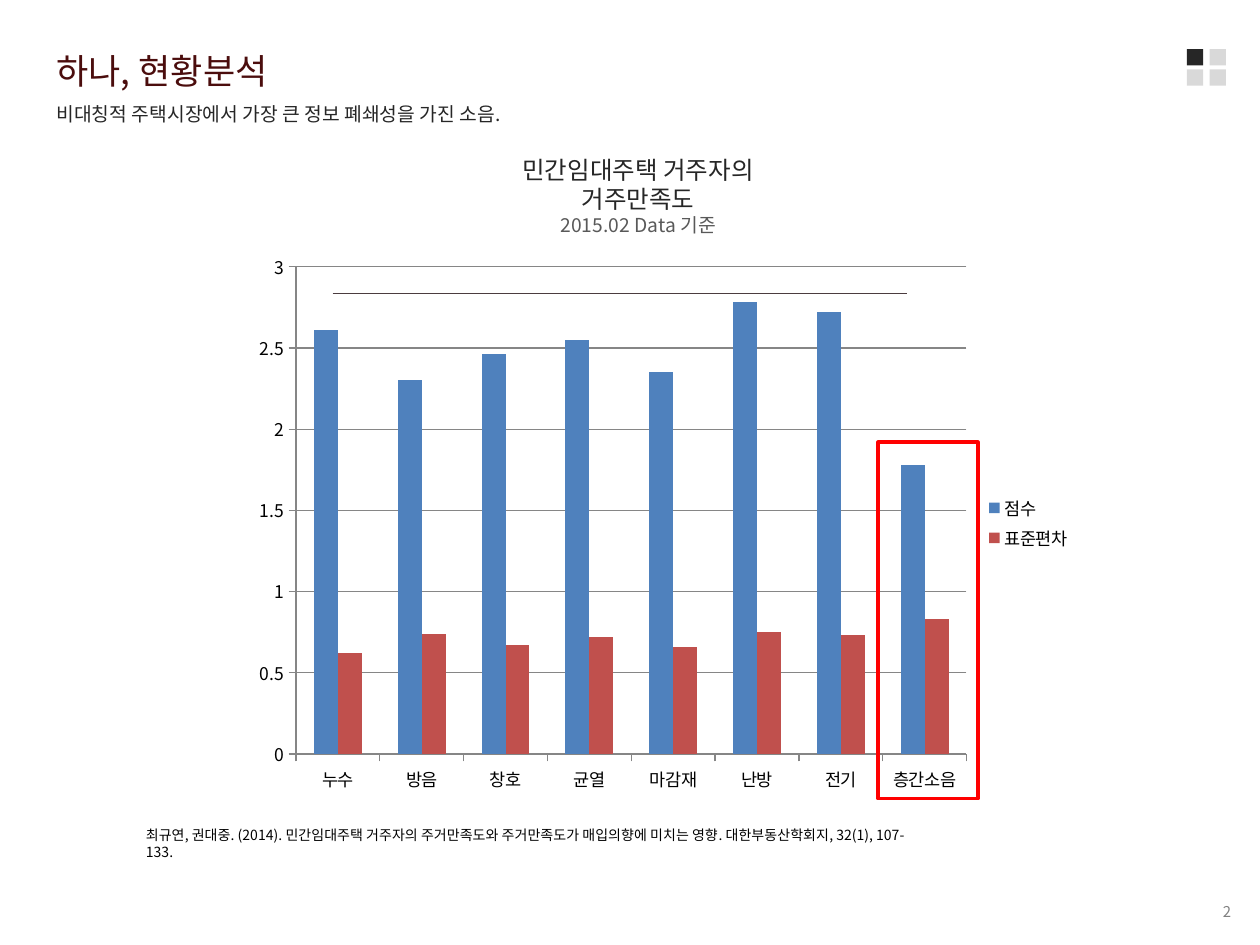
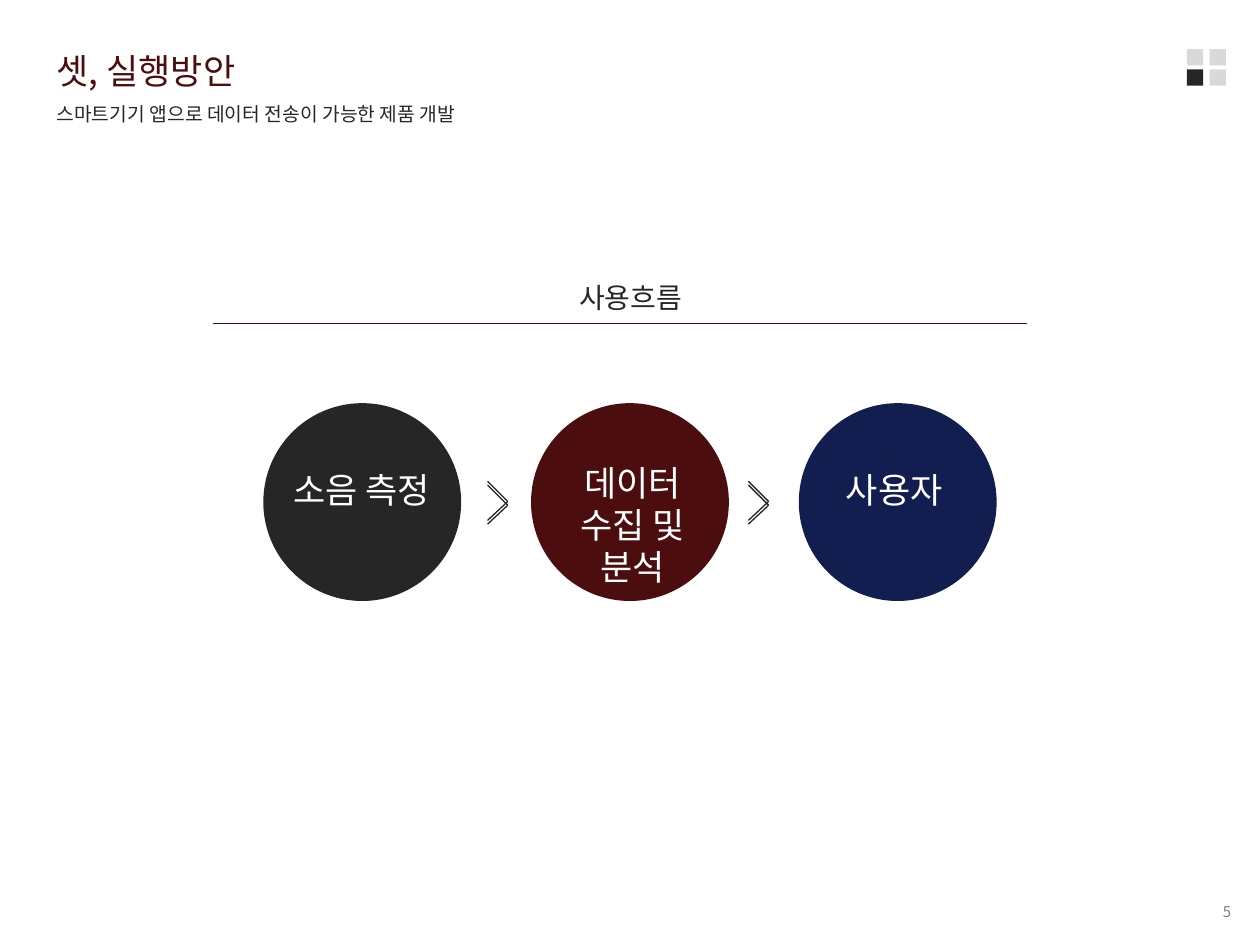
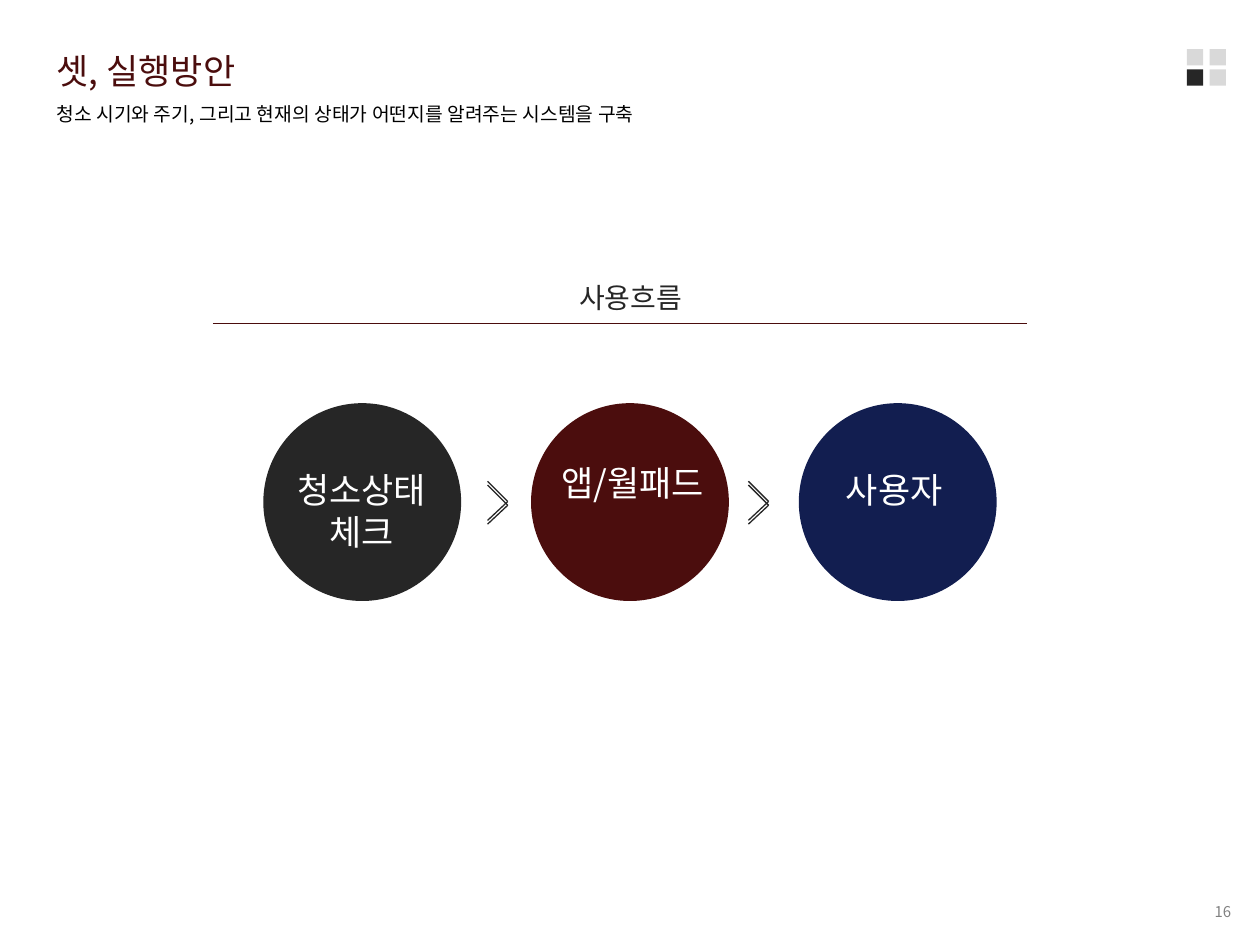
"""Build three slides on indoor noise: satisfaction chart and two usage flows."""
from lxml import etree
from pptx import Presentation
from pptx import util as u
from pptx.chart.data import CategoryChartData
from pptx.dml.color import RGBColor
from pptx.enum import chart as ch, shapes, text
from pptx.oxml import parse_xml
from pptx.oxml.ns import nsdecls, qn

FONT = "Noto Sans CJK KR"
COLORS = {
    "ink": "262626", "wine": "4B0D0D", "navy": "121E50", "white": "FFFFFF",
    "black": "000000", "pale": "D9D9D9", "gray": "808080", "note": "595959",
    "rule": "4B3C3F", "grid": "868686", "red": "FF0000",
    "score": "4F81BD", "deviation": "C0504D",
}
CHART_SLIDE = {
    "title": "하나, 현황분석",
    "subtitle": "비대칭적 주택시장에서 가장 큰 정보 폐쇄성을 가진 소음.",
    "subtitle_color": "ink", "page": 2, "section": 0,
}
CHART_HEADING = [
    ("민간임대주택 거주자의", 14, "ink"),
    ("거주만족도", 14, "ink"),
    ("2015.02 Data 기준", 11, "note"),
]
CITATION = ("최규연, 권대중. (2014). 민간임대주택 거주자의 주거만족도와 주거만족도가 "
            "매입의향에 미치는 영향. 대한부동산학회지, 32(1), 107-133.")
CATEGORIES = ["누수", "방음", "창호", "균열", "마감재", "난방", "전기", "층간소음"]
SERIES = [
    ("점수", [2.61, 2.3, 2.46, 2.55, 2.35, 2.78, 2.72, 1.78], "score"),
    ("표준편차", [0.62, 0.74, 0.67, 0.72, 0.66, 0.75, 0.73, 0.83], "deviation"),
]
FLOW_HEADING = "사용흐름"
FLOW_SLIDES = [
    {"title": "셋, 실행방안",
     "subtitle": "스마트기기 앱으로 데이터 전송이 가능한 제품 개발",
     "subtitle_color": "ink", "page": 5, "section": 2,
     "steps": [["소음 측정"], ["데이터 수집 및 분석"], ["사용자 "]]},
    {"title": "셋, 실행방안",
     "subtitle": "청소 시기와 주기, 그리고 현재의 상태가 어떤지를 알려주는 시스템을 구축",
     "subtitle_color": "black", "page": 16, "section": 2,
     "steps": [["청소상태", "체크"], ["앱/월패드"], ["사용자 "]]},
]
STEP_COLORS = ["ink", "wine", "navy"]
STEP_LABELS = [(2.12, 3.67), (4.27, 3.61), (6.38, 3.67)]
CHEVRON_LEFTS = [3.87, 5.94]


def rgb(name):
    return RGBColor.from_string(COLORS[name])


def set_font(font, size, color):
    font.size = u.Pt(size)
    font.color.rgb = rgb(color)
    font.name = FONT
    latin = font._element.find(qn("a:latin"))
    ea = etree.Element(qn("a:ea"), typeface=FONT)
    latin.addnext(ea)


def write(sp, lines, align, anchor=text.MSO_ANCHOR.TOP):
    tf = sp.text_frame
    tf.word_wrap = True
    tf.vertical_anchor = anchor
    for i, (line, size, color) in enumerate(lines):
        p = tf.add_paragraph() if i else tf.paragraphs[0]
        p.alignment = align
        r = p.add_run()
        r.text = line
        set_font(r.font, size, color)


def add_text(s, box, lines, align=text.PP_ALIGN.LEFT, anchor=text.MSO_ANCHOR.TOP):
    write(s.shapes.add_textbox(*map(u.Inches, box)), lines, align, anchor)


def add_shape(parent, kind, box, fill=None, line=None):
    sp = parent.shapes.add_shape(kind, *map(u.Inches, box))
    sp.shadow.inherit = False
    if fill:
        sp.fill.solid()
        sp.fill.fore_color.rgb = rgb(fill)
    else:
        sp.fill.background()
    if line:
        sp.line.color.rgb = rgb(line)
        sp.line.width = u.Pt(2)
    else:
        sp.line.fill.background()
    return sp


def add_line(parent, start, end, color):
    ends = map(u.Inches, (*start, *end))
    line = parent.shapes.add_connector(shapes.MSO_CONNECTOR.STRAIGHT, *ends)
    line.line.color.rgb = rgb(color)
    line.line.width = u.Pt(0.75)
    etree.SubElement(line._element.spPr, qn("a:effectLst"))


def add_heading(s, box, lines):
    sp = add_shape(s, shapes.MSO_SHAPE.RECTANGLE, box, "white")
    write(sp, lines, text.PP_ALIGN.CENTER)


def add_base(prs, data):
    s = prs.slides.add_slide(prs.slide_layouts[6])
    add_text(s, (7.76, 7.1, 2.11, 0.27), [(str(data["page"]), 8.5, "gray")],
             text.PP_ALIGN.RIGHT, text.MSO_ANCHOR.MIDDLE)
    add_text(s, (0.35, 0.34, 7.64, 0.44), [(data["title"], 20, "wine")])
    add_text(s, (0.35, 0.76, 7.64, 0.29),
             [(data["subtitle"], 11, data["subtitle_color"])])
    marker = s.shapes.add_group_shape()
    for i in range(4):
        row, col = divmod(i, 2)
        add_shape(marker, shapes.MSO_SHAPE.RECTANGLE,
                  (9.42 + col * 0.18, 0.39 + row * 0.16, 0.13, 0.13),
                  "ink" if i == data["section"] else "pale")
    return s


def add_satisfaction_chart(s):
    data = CategoryChartData()
    data.categories = CATEGORIES
    for name, values, _ in SERIES:
        data.add_series(name, values)
    chart = s.shapes.add_chart(ch.XL_CHART_TYPE.COLUMN_CLUSTERED,
                               *map(u.Inches, (1.93, 1.93, 6.67, 4.44)), data).chart
    set_font(chart.font, 10, "black")
    txpr = chart._chartSpace.find(qn("c:txPr"))
    txpr.addprevious(parse_xml(
        f'<c:spPr {nsdecls("c", "a")}><a:noFill/><a:ln><a:noFill/></a:ln></c:spPr>'))
    chart.has_title = False
    chart.has_legend = True
    chart.legend.position = ch.XL_LEGEND_POSITION.RIGHT
    chart.legend.include_in_layout = False
    plot = chart.plots[0]
    plot.gap_width = 150
    plot.overlap = 0
    plot.vary_by_categories = False
    for series, (_, _, color) in zip(plot.series, SERIES):
        series.format.fill.solid()
        series.format.fill.fore_color.rgb = rgb(color)
    value = chart.value_axis
    value.minimum_scale, value.maximum_scale, value.major_unit = 0, 3, 0.5
    value.has_major_gridlines = True
    value.major_gridlines.format.line.color.rgb = rgb("grid")
    for axis in (value, chart.category_axis):
        axis.major_tick_mark = ch.XL_TICK_MARK.OUTSIDE
        axis.format.line.color.rgb = rgb("grid")


def build_chart_slide(prs):
    s = add_base(prs, CHART_SLIDE)
    add_line(s, (2.64, 2.33), (7.2, 2.33), "rule")
    add_heading(s, (3.95, 1.18, 2.23, 0.76), CHART_HEADING)
    add_text(s, (1.06, 6.51, 6.39, 0.24), [(CITATION, 8, "black")])
    add_satisfaction_chart(s)
    add_shape(s, shapes.MSO_SHAPE.RECTANGLE, (6.97, 3.51, 0.79, 2.83), line="red")


def build_flow_slide(prs, data):
    s = add_base(prs, data)
    for i, color in enumerate(STEP_COLORS):
        add_shape(s, shapes.MSO_SHAPE.OVAL, (2.09 + i * 2.125, 3.2, 1.57, 1.57), color)
    for left in CHEVRON_LEFTS:
        chevron = s.shapes.add_group_shape()
        for tip in (4.01, 3.98):
            for dy in (-0.16, 0.15):
                add_line(chevron, (left, tip + dy), (left + 0.16, tip), "ink")
    for (left, top), step in zip(STEP_LABELS, data["steps"]):
        add_text(s, (left, top, 1.5, 0.77), [(line, 20, "white") for line in step],
                 text.PP_ALIGN.CENTER)
    add_line(s, (1.69, 2.57), (8.15, 2.57), "wine")
    add_heading(s, (3.98, 2.18, 2.05, 0.37), [(FLOW_HEADING, 16, "ink")])


def main():
    prs = Presentation()
    prs.slide_width, prs.slide_height = u.Inches(10), u.Inches(7.5)
    build_chart_slide(prs)
    for data in FLOW_SLIDES:
        build_flow_slide(prs, data)
    prs.save("out.pptx")


if __name__ == "__main__":
    main()
